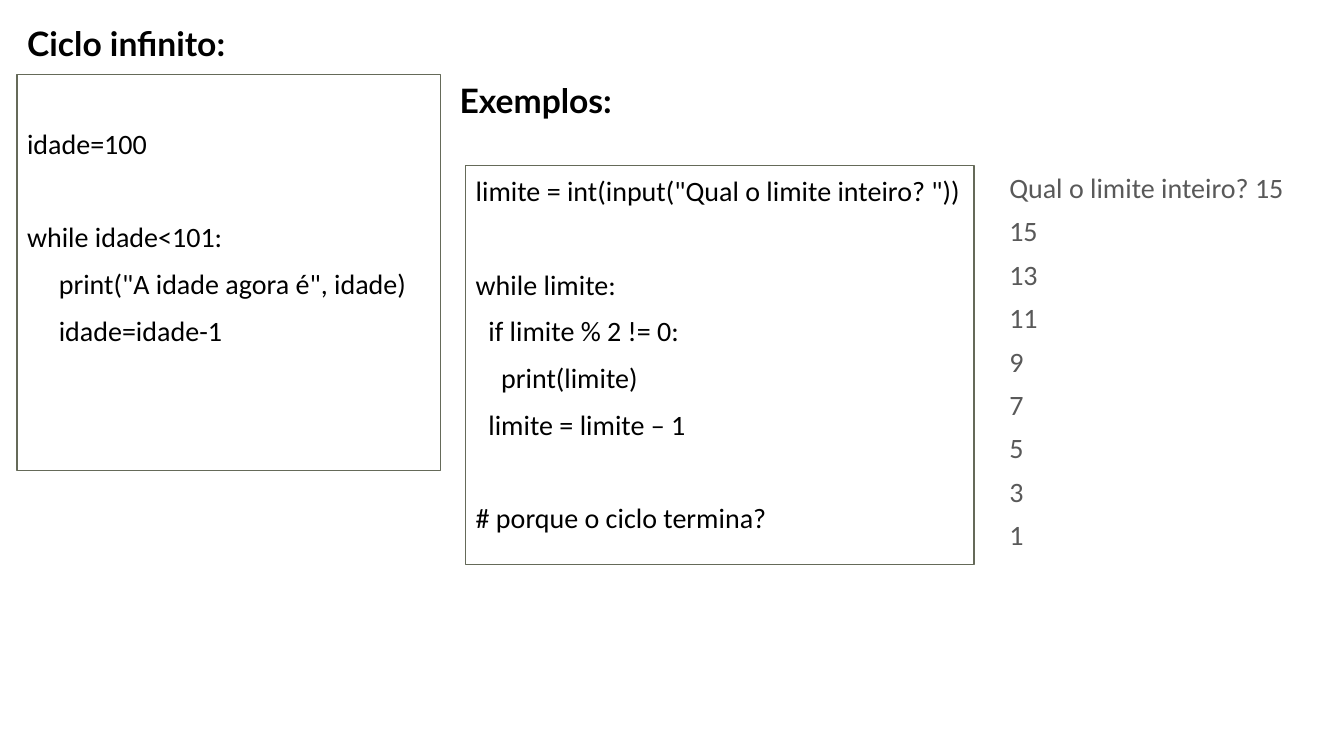
from lxml.etree import SubElement
from pptx import Presentation
from pptx.dml.color import RGBColor
from pptx.enum.shapes import MSO_SHAPE as SHAPE
from pptx.enum.text import MSO_ANCHOR as ANCHOR, MSO_AUTO_SIZE as FIT, PP_ALIGN as ALIGN
from pptx.oxml.ns import qn
from pptx.util import Inches, Pt

HEADING = dict(name="Lato", size=Pt(24), bold=True)
BODY = dict(name="Calibri", size=Pt(20), bold=False)
CODE_SPACING = dict(alignment=ALIGN.LEFT, line_spacing=1.1, space_before=Pt(7))
OUTPUT_SPACING = dict(alignment=ALIGN.LEFT, line_spacing=1.0, space_before=Pt(7))
HEADING_SPACING = dict(alignment=ALIGN.LEFT, space_before=Pt(0))
SECTION_GAP = Pt(40.4)
SPACE_WIDTH = 0.063


def color(value):
    return RGBColor.from_string(value)


def assign(target, values):
    for key, value in values.items():
        setattr(target, key, value)


class SlideBuilder:
    ink, muted, paper, border = "000000", "595959", "FFFFFF", "656A59"

    def __init__(self, prs):
        self.slide = prs.slides.add_slide(prs.slide_layouts[1])

    def place(self, sp, box):
        assign(sp, dict(zip(("left", "top", "width", "height"), map(Inches, box))))

    def add_lines(self, tf, lines, font, spacing, ink):
        for i, line in enumerate(lines):
            p = tf.paragraphs[0] if i == 0 else tf.add_paragraph()
            assign(p, spacing)
            r = p.add_run()
            r.text = line
            assign(r.font, font)
            r.font.color.rgb = color(ink)

    def title(self, text, box):
        sp = self.slide.shapes.title
        self.place(sp, box)
        tf = sp.text_frame
        assign(tf, dict(word_wrap=True, auto_size=FIT.NONE, vertical_anchor=ANCHOR.MIDDLE))
        self.add_lines(tf, [text], HEADING, dict(HEADING_SPACING, line_spacing=0.9), self.ink)

    def heading(self, text, box):
        sp = self.slide.shapes.add_textbox(*map(Inches, box))
        tf = sp.text_frame
        assign(tf, dict(word_wrap=True, auto_size=FIT.SHAPE_TO_FIT_TEXT))
        self.add_lines(tf, [text], HEADING, HEADING_SPACING, self.ink)

    def code(self, sections, box, top_inset=0.05):
        sp = self.slide.shapes.add_shape(SHAPE.RECTANGLE, *map(Inches, box))
        sp.shadow.inherit = False
        sp.fill.solid()
        sp.fill.fore_color.rgb = color(self.paper)
        sp.line.color.rgb = color(self.border)
        sp.line.width = Pt(1)
        tf = sp.text_frame
        assign(tf, dict(word_wrap=True, vertical_anchor=ANCHOR.TOP, margin_top=Inches(top_inset)))
        lines = [line for section in sections for line in section]
        self.add_lines(tf, [text for _, text in lines], BODY, CODE_SPACING, self.ink)
        for p, (indent, _) in zip(tf.paragraphs, lines):
            p._p.get_or_add_pPr().set("marL", str(Inches(indent * SPACE_WIDTH)))
        start = 0
        for section in sections[:-1]:
            start += len(section)
            tf.paragraphs[start].space_before = SECTION_GAP

    def output(self, lines, box):
        sp = self.slide.placeholders[1]
        self.place(sp, box)
        tf = sp.text_frame
        assign(tf, dict(word_wrap=True, auto_size=FIT.NONE, vertical_anchor=ANCHOR.TOP))
        self.add_lines(tf, lines, BODY, OUTPUT_SPACING, self.muted)
        for p in tf.paragraphs:
            pPr = p._p.get_or_add_pPr()
            for key in ("marL", "indent"):
                pPr.set(key, "0")
            SubElement(pPr, qn("a:buNone"))


def main():
    prs = Presentation()
    assign(prs, dict(slide_width=Inches(13.33), slide_height=Inches(7.5)))
    s = SlideBuilder(prs)
    s.title("Ciclo infinito:", (0.17, 0.16, 2.21, 0.58))
    s.code(
        [
            [(0, "idade=100")],
            [
                (0, "while idade<101:"),
                (5, 'print("A idade agora é", idade)'),
                (5, "idade=idade-1"),
            ],
        ],
        (0.17, 0.74, 4.2, 3.93),
        top_inset=0.48,
    )
    s.code(
        [
            [(0, 'limite = int(input("Qual o limite inteiro? "))')],
            [
                (0, "while limite:"),
                (2, "if limite % 2 != 0:"),
                (4, "print(limite)"),
                (2, "limite = limite – 1"),
            ],
            [(0, "# porque o ciclo termina?")],
        ],
        (4.62, 1.64, 5.04, 3.96),
    )
    s.heading("Exemplos:", (4.46, 0.74, 3.73, 0.5))
    odd_numbers = [str(n) for n in range(15, 0, -2)]
    s.output(["Qual o limite inteiro? 15"] + odd_numbers, (9.91, 1.64, 3.25, 3.96))
    prs.save("out.pptx")


if __name__ == "__main__":
    main()
